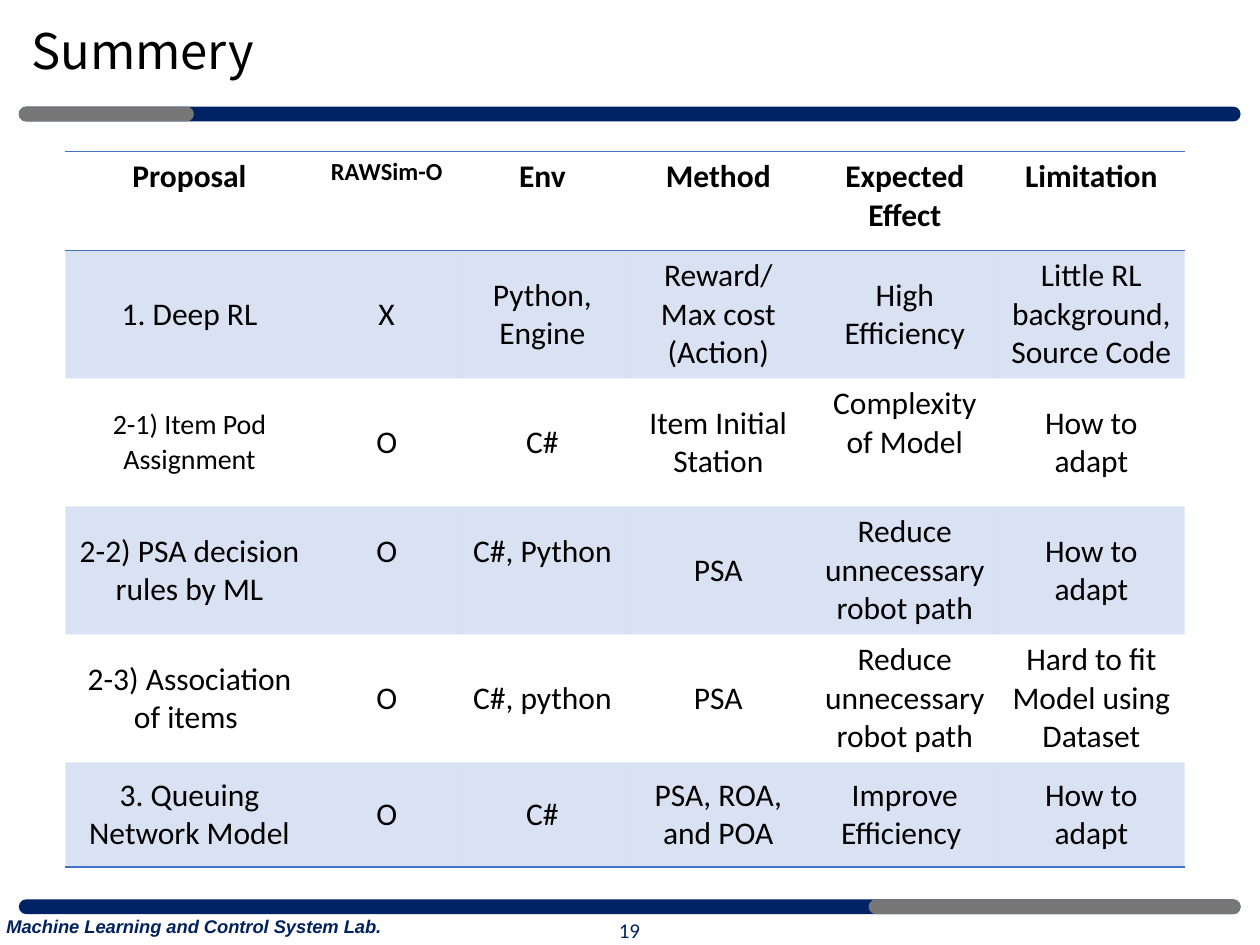
from dataclasses import dataclass

from lxml.etree import SubElement
from pptx import Presentation
from pptx.dml.color import RGBColor
from pptx.enum.shapes import MSO_SHAPE
from pptx.enum.text import MSO_ANCHOR as ANCHOR, PP_ALIGN as ALIGN
from pptx.oxml.ns import qn
from pptx.util import Cm, Pt

BLACK = RGBColor(0x00, 0x00, 0x00)
NAVY = RGBColor(0x00, 0x23, 0x66)
FOOTER_BLUE = RGBColor(0x00, 0x20, 0x60)
GREY = RGBColor(0x77, 0x77, 0x77)
ACCENT = RGBColor(0x44, 0x72, 0xC4)

PLAIN_STYLE = "{2D5ABB26-0587-4C30-8999-92F81FD0307C}"
BAR_LEFT, BAR_WIDTH, BAR_HEIGHT = 0.38, 24.63, 0.3
TOP_BAR, BOTTOM_BAR = 2.15, 18.13
COL_WIDTHS = [5, 2.95, 3.33, 3.76, 3.76, 3.76]
ROW_HEIGHTS = [2, 2.58, 2.58, 2.58, 2.58, 2.11]
RAISED_MARGIN = 0.9


@dataclass
class Bar:
    left: float
    top: float
    width: float
    color: RGBColor


@dataclass
class Entry:
    """A table cell; a raised one sits half a line above the middle."""
    text: str
    size: float = 18
    raised: bool = False


BARS = [
    Bar(BAR_LEFT, TOP_BAR, BAR_WIDTH, NAVY),
    Bar(BAR_LEFT, TOP_BAR, 3.53, GREY),
    Bar(BAR_LEFT, BOTTOM_BAR, BAR_WIDTH, NAVY),
    Bar(BAR_LEFT + BAR_WIDTH - 7.5, BOTTOM_BAR, 7.5, GREY),
]

ROWS = [
    [Entry("Proposal"), Entry("RAWSim-O", 14), Entry("Env"),
     Entry("Method"), Entry("Expected Effect"), Entry("Limitation")],
    [Entry("1. Deep RL"), Entry("X"), Entry("Python, Engine"),
     Entry("Reward/ Max cost\n(Action)"), Entry("High Efficiency"),
     Entry("Little RL background, Source Code")],
    [Entry("2-1) Item Pod Assignment", 16), Entry("O"), Entry("C#"),
     Entry("Item Initial Station"), Entry("Complexity of Model", raised=True),
     Entry("How to adapt")],
    [Entry("2-2) PSA decision rules by ML"), Entry("O", raised=True),
     Entry("C#, Python", raised=True), Entry("PSA"),
     Entry("Reduce unnecessary robot path"), Entry("How to adapt")],
    [Entry("2-3) Association of items "), Entry("O"), Entry("C#, python"),
     Entry("PSA"), Entry("Reduce unnecessary robot path"),
     Entry("Hard to fit Model using Dataset")],
    [Entry("3. Queuing Network Model"), Entry("O"), Entry("C#"),
     Entry("PSA, ROA, and POA"), Entry("Improve Efficiency "),
     Entry("How to adapt")],
]


def write(tf, text: str, *, size: float, font: str = "Calibri",
          color: RGBColor = BLACK, bold: bool = False, italic: bool = False,
          align=ALIGN.LEFT, spacing: float = 1.0) -> None:
    """Fill a text frame, one paragraph for each line of text."""
    tf.word_wrap = True
    for i, line in enumerate(text.split("\n")):
        p = tf.add_paragraph() if i else tf.paragraphs[0]
        p.alignment = align
        p.line_spacing = spacing
        r = p.add_run()
        r.text = line
        r.font.name = font
        r.font.size = Pt(size)
        r.font.bold = bold
        r.font.italic = italic
        r.font.color.rgb = color


def add_text(s, left: float, top: float, width: float, height: float,
             text: str, *, anchor=ANCHOR.MIDDLE, **fmt) -> None:
    tf = s.shapes.add_textbox(Cm(left), Cm(top), Cm(width), Cm(height)).text_frame
    tf.vertical_anchor = anchor
    write(tf, text, **fmt)


def add_bar(s, bar: Bar) -> None:
    sp = s.shapes.add_shape(MSO_SHAPE.ROUNDED_RECTANGLE, Cm(bar.left), Cm(bar.top),
                            Cm(bar.width), Cm(BAR_HEIGHT))
    sp.adjustments[0] = 0.5
    sp.shadow.inherit = False
    sp.fill.solid()
    sp.fill.fore_color.rgb = bar.color
    sp.line.fill.background()


def add_border(cell, side: str) -> None:
    """Draw a cell's top (T) or bottom (B) border; call before filling."""
    ln = SubElement(cell._tc.get_or_add_tcPr(), qn(f"a:ln{side}"), w=str(Pt(1)))
    SubElement(SubElement(ln, qn("a:solidFill")), qn("a:srgbClr"), val=str(ACCENT))


def fill_band(cell) -> None:
    cell.fill.solid()
    cell.fill.fore_color.rgb = ACCENT
    color = cell._tc.tcPr.find(f"{qn('a:solidFill')}/{qn('a:srgbClr')}")
    SubElement(color, qn("a:alpha"), val="20000")


def add_summary_table(s, left: float, top: float) -> None:
    frame = s.shapes.add_table(len(ROWS), len(COL_WIDTHS), Cm(left), Cm(top),
                               Cm(sum(COL_WIDTHS)), Cm(sum(ROW_HEIGHTS)))
    table = frame.table
    table.first_row = table.horz_banding = False
    next(frame._element.iter(qn("a:tableStyleId"))).text = PLAIN_STYLE
    for column, width in zip(table.columns, COL_WIDTHS):
        column.width = Cm(width)
    for i, (entries, height) in enumerate(zip(ROWS, ROW_HEIGHTS)):
        table.rows[i].height = Cm(height)
        header = i == 0
        for j, entry in enumerate(entries):
            cell = table.cell(i, j)
            write(cell.text_frame, entry.text, size=entry.size, bold=header,
                  align=ALIGN.CENTER)
            cell.vertical_anchor = ANCHOR.TOP if header else ANCHOR.MIDDLE
            if entry.raised:
                cell.margin_bottom = Cm(RAISED_MARGIN)
            if header:
                add_border(cell, "T")
            if header or i == len(ROWS) - 1:
                add_border(cell, "B")
            if i % 2:
                fill_band(cell)
            else:
                cell.fill.background()


def main() -> None:
    prs = Presentation()
    prs.slide_width, prs.slide_height = Cm(25.4), Cm(19.05)
    s = prs.slides.add_slide(prs.slide_layouts[6])

    add_text(s, -0.12, 18.33, 8.97, 0.71, "Machine Learning and Control System Lab.",
             anchor=ANCHOR.TOP, size=10.5, font="Arial", color=FOOTER_BLUE,
             bold=True, italic=True)
    for bar in BARS:
        add_bar(s, bar)
    add_text(s, 9.83, 18.24, 5.72, 1.02, "19", size=12, color=NAVY, align=ALIGN.CENTER)
    add_text(s, 0.38, 0.15, 21.89, 1.85, "Summery", size=28,
             font="Noto Sans CJK KR", spacing=0.9)
    add_summary_table(s, 1.32, 3.05)

    prs.save("out.pptx")


if __name__ == "__main__":
    main()
